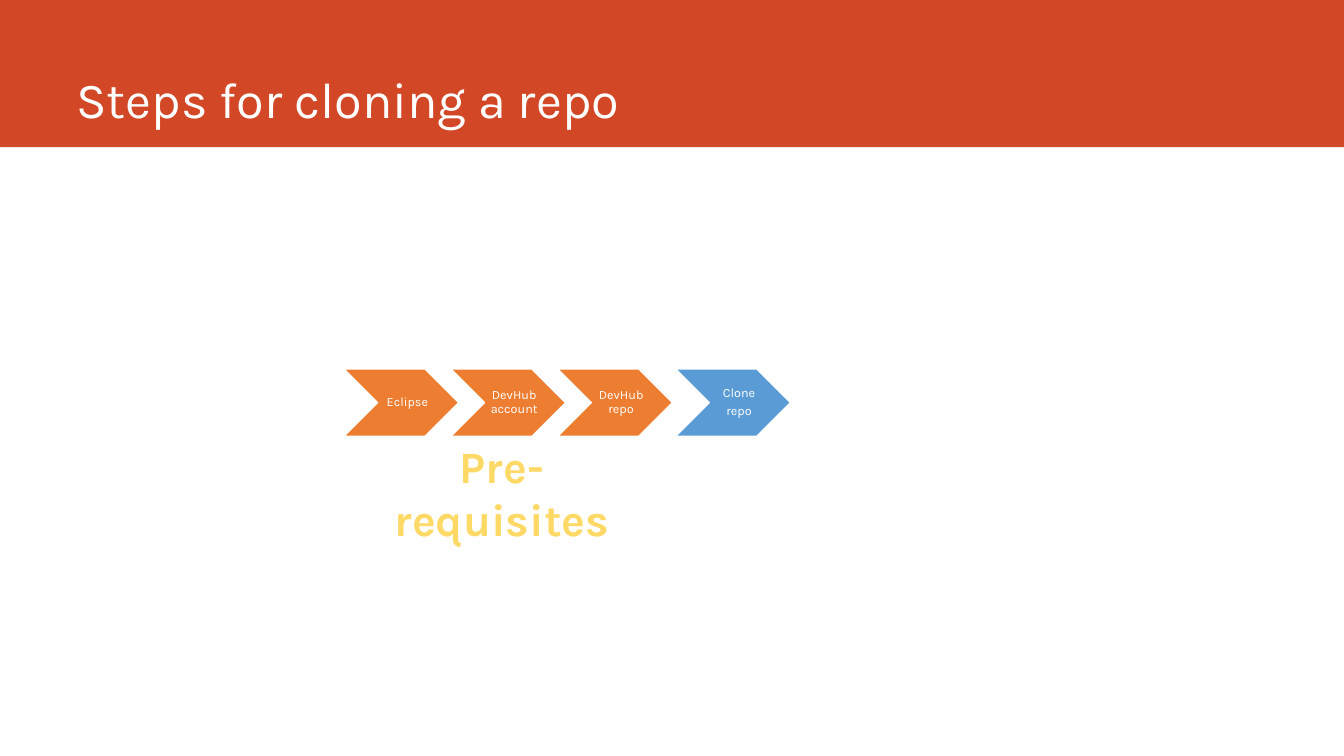
from pptx import Presentation
from pptx.dml.color import RGBColor
from pptx.enum.shapes import MSO_SHAPE
from pptx.enum.text import MSO_ANCHOR, PP_ALIGN
from pptx.util import Inches, Pt

WHITE, RED, ORANGE, BLUE, GOLD = "FFFFFF", "D24726", "ED7D31", "5B9BD5", "FFD966"
STEP_TOP, STEP_HIGH = 3.66, 0.67


def paint(target, color):
    target.solid()
    target.fore_color.rgb = RGBColor.from_string(color)


def add_block(slide, kind, box, color):
    shape = slide.shapes.add_shape(kind, *map(Inches, box))
    shape.shadow.inherit = False
    paint(shape.fill, color)
    shape.line.fill.background()
    return shape


def add_text(slide, box, lines, size, color=WHITE, bold=False,
             align=PP_ALIGN.CENTER, anchor=MSO_ANCHOR.TOP):
    frame = slide.shapes.add_textbox(*map(Inches, box)).text_frame
    frame.word_wrap = True
    frame.vertical_anchor = anchor
    for i, line in enumerate(lines):
        para = frame.paragraphs[0] if i == 0 else frame.add_paragraph()
        para.alignment = align
        run = para.add_run()
        run.text = line
        font = run.font
        font.name, font.size, font.bold = "Karla", Pt(size), bold
        paint(font.fill, color)
    return frame


def add_step(slide, left, lines, color):
    """Draw a chevron with its label, indented past the notch."""
    arrow = add_block(slide, MSO_SHAPE.CHEVRON,
                      (left, STEP_TOP, 1.14, STEP_HIGH), color)
    paint(arrow.line.fill, WHITE)
    arrow.line.width = Pt(1)
    frame = add_text(slide, (left + 0.04, STEP_TOP, 0.99, STEP_HIGH), lines, 9,
                     anchor=MSO_ANCHOR.MIDDLE)
    frame.margin_left = Inches(0.28)
    frame.margin_right = frame.margin_top = frame.margin_bottom = Inches(0.09)
    for para in frame.paragraphs:
        para.line_spacing = 0.9
        para.space_after = Pt(3.15)


def main():
    deck = Presentation()
    deck.slide_width, deck.slide_height = Inches(13.33), Inches(7.5)
    slide = deck.slides.add_slide(deck.slide_layouts[6])

    add_block(slide, MSO_SHAPE.RECTANGLE, (0, 0, 13.33, 1.46), RED)
    add_text(slide, (0.66, 0, 11.76, 1.32), ["Steps for cloning a repo"], 36,
             align=PP_ALIGN.LEFT, anchor=MSO_ANCHOR.BOTTOM)

    needs = ["Eclipse", "DevHub account", "DevHub repo"]
    for i, need in enumerate(needs):
        add_step(slide, 3.41 + 1.06 * i, [need], ORANGE)
    add_step(slide, 6.7, ["Clone", "repo"], BLUE)
    add_text(slide, (3.48, 4.3, 3, 1.2), ["Pre-requisites"], 32, GOLD, bold=True)

    deck.save("out.pptx")


if __name__ == "__main__":
    main()
